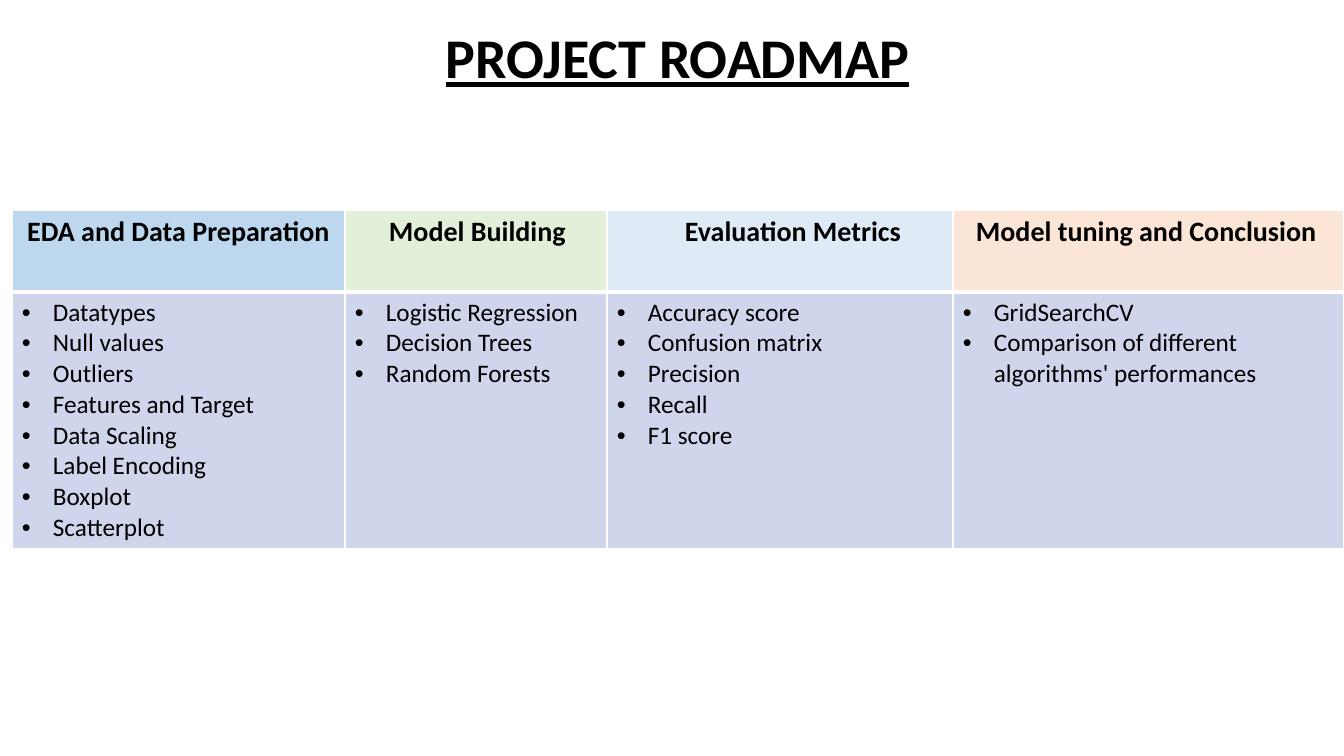
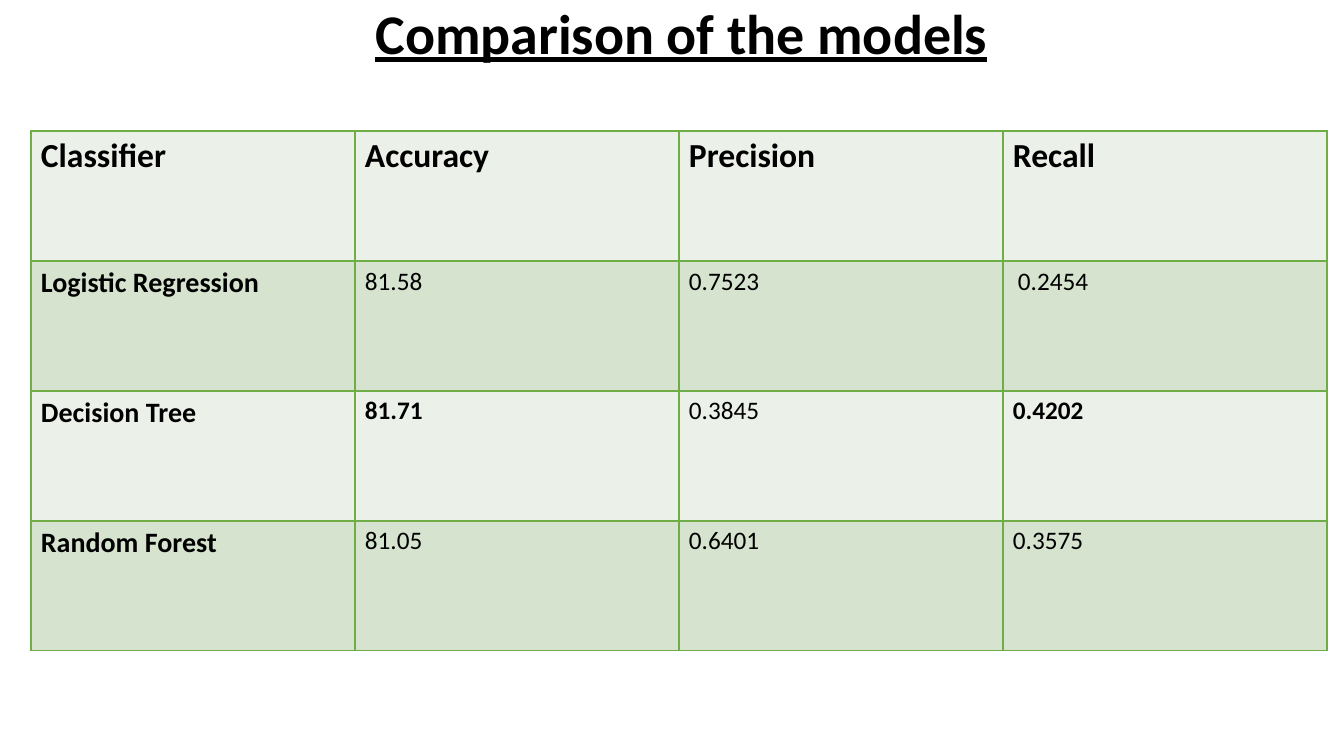
from lxml import etree
from pptx import Presentation
from pptx.dml.color import RGBColor
from pptx.enum.text import MSO_ANCHOR, PP_ALIGN
from pptx.oxml.ns import qn
from pptx.util import Emu, Pt

LEFT, CENTER = PP_ALIGN.LEFT, PP_ALIGN.CENTER
TOP, MIDDLE = MSO_ANCHOR.TOP, MSO_ANCHOR.MIDDLE

SLIDE_WIDTH, SLIDE_HEIGHT = 1344, 756
EMU_PER_PX = 12192000 / SLIDE_WIDTH
FONT = "Calibri"
BLACK, WHITE = "000000", "FFFFFF"
ROADMAP_BODY = "CFD5EA"
GREEN_LINE = "70AD47"
GREEN_BANDS = ("EBF1E9", "D5E3CF")
CELL_INSET = 10
BULLET_INDENT = 31

# Heading, heading fill, alignment, left inset, column width, bullet points
ROADMAP = [
    ("EDA and Data Preparation", "BDD7EE", CENTER, CELL_INSET, 333,
     ["Datatypes", "Null values", "Outliers", "Features and Target",
      "Data Scaling", "Label Encoding", "Boxplot", "Scatterplot"]),
    ("Model Building", "E2F0D9", LEFT, 44, 262,
     ["Logistic Regression", "Decision Trees", "Random Forests"]),
    ("Evaluation Metrics", "DEEBF7", LEFT, 78, 346,
     ["Accuracy score", "Confusion matrix", "Precision", "Recall", "F1 score"]),
    ("Model tuning and Conclusion", "FBE5D6", LEFT, 23, 391,
     ["GridSearchCV", "Comparison of different algorithms' performances"]),
]

COMPARISON = [
    ["Classifier", "Accuracy", "Precision", "Recall"],
    ["Logistic Regression", "81.58", "0.7523", "0.2454"],
    ["Decision Tree", "81.71", "0.3845", "0.4202"],
    ["Random Forest", "81.05", "0.6401", "0.3575"],
]
BEST_SCORES = {(2, 1), (2, 3)}
INSET_SCORES = {(1, 3): 15}


def px(length):
    return Emu(round(length * EMU_PER_PX))


def color(value):
    return RGBColor.from_string(value)


def add_bullet(paragraph):
    properties = paragraph._p.get_or_add_pPr()
    properties.set("marL", str(px(BULLET_INDENT)))
    properties.set("indent", str(-px(BULLET_INDENT)))
    font = etree.SubElement(properties, qn("a:buFont"))
    font.set("typeface", "Arial")
    etree.SubElement(properties, qn("a:buChar")).set("char", "•")


def write_text(frame, lines, size=18, bold=False, underline=False,
               align=LEFT, spacing=1.0, bullets=False):
    frame.word_wrap = True
    for index, line in enumerate(lines):
        paragraph = frame.paragraphs[0] if index == 0 else frame.add_paragraph()
        paragraph.alignment = align
        paragraph.line_spacing = spacing
        if bullets:
            add_bullet(paragraph)
        run = paragraph.add_run()
        run.text = line
        run.font.name = FONT
        run.font.size = Pt(size)
        run.font.bold = bold
        run.font.underline = underline
        run.font.color.rgb = color(BLACK)


def add_title(slide, text, box, anchor=TOP, **text_format):
    shape = slide.shapes.add_textbox(*map(px, box))
    shape.text_frame.vertical_anchor = anchor
    write_text(shape.text_frame, [text], size=40, bold=True, underline=True,
               **text_format)


def add_grid(slide, left, top, widths, heights):
    frame = slide.shapes.add_table(len(heights), len(widths), px(left), px(top),
                                   px(sum(widths)), px(sum(heights)))
    table = frame.table
    table.first_row = table.horz_banding = False
    for column, width in zip(table.columns, widths):
        column.width = px(width)
    for row, height in zip(table.rows, heights):
        row.height = px(height)
    return table


def style_cell(cell, fill, line, inset=CELL_INSET, top_width=1, bottom_width=1):
    cell.margin_left = px(inset)
    properties = cell._tc.get_or_add_tcPr()
    # Cell borders come before the fill
    for side, width in (("L", 1), ("R", 1), ("T", top_width), ("B", bottom_width)):
        border = etree.SubElement(properties, qn(f"a:ln{side}"))
        border.set("w", str(Pt(width)))
        solid = etree.SubElement(border, qn("a:solidFill"))
        etree.SubElement(solid, qn("a:srgbClr")).set("val", line)
    cell.fill.solid()
    cell.fill.fore_color.rgb = color(fill)


def add_roadmap_table(slide, left, top, heights):
    widths = [stage[4] for stage in ROADMAP]
    table = add_grid(slide, left, top, widths, heights)
    for column, (heading, fill, align, inset, _, points) in enumerate(ROADMAP):
        header, body = table.cell(0, column), table.cell(1, column)
        style_cell(header, fill, WHITE, inset=inset, bottom_width=3)
        write_text(header.text_frame, [heading], size=20, bold=True, align=align)
        style_cell(body, ROADMAP_BODY, WHITE, top_width=3)
        write_text(body.text_frame, points, bullets=True)


def add_comparison_table(slide, left, top, column_width, row_height):
    table = add_grid(slide, left, top, [column_width] * len(COMPARISON[0]),
                     [row_height] * len(COMPARISON))
    for row, values in enumerate(COMPARISON):
        for column, value in enumerate(values):
            cell = table.cell(row, column)
            inset = INSET_SCORES.get((row, column), CELL_INSET)
            style_cell(cell, GREEN_BANDS[row % 2], GREEN_LINE, inset=inset)
            size = 24 if row == 0 else 20 if column == 0 else 18
            bold = size > 18 or (row, column) in BEST_SCORES
            write_text(cell.text_frame, [value], size=size, bold=bold)


def build_roadmap_slide(slide):
    add_roadmap_table(slide, 12, 210, [82, 255])
    add_title(slide, "PROJECT ROADMAP", (436, 18, 502, 78))


def build_comparison_slide(slide):
    add_title(slide, "Comparison of the models", (102, -37, 1159, 146),
              anchor=MIDDLE, align=CENTER, spacing=0.9)
    add_comparison_table(slide, 31, 131, 324, 130)


def main():
    presentation = Presentation()
    presentation.slide_width = px(SLIDE_WIDTH)
    presentation.slide_height = px(SLIDE_HEIGHT)
    blank_layout = presentation.slide_layouts[6]
    for build in (build_roadmap_slide, build_comparison_slide):
        build(presentation.slides.add_slide(blank_layout))
    presentation.save("out.pptx")


if __name__ == "__main__":
    main()
